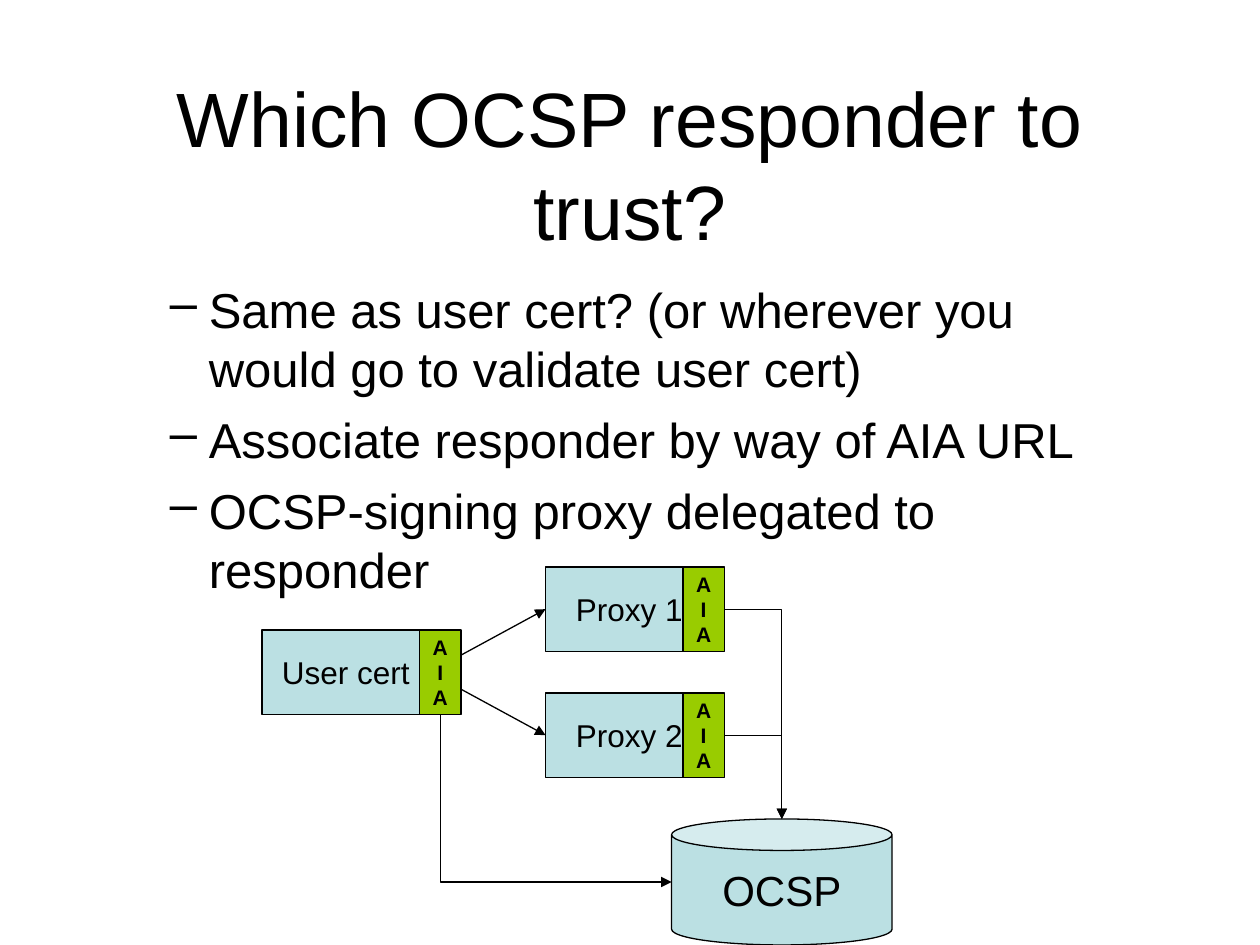
from copy import deepcopy

from lxml.etree import SubElement
from pptx import Presentation
from pptx.dml.color import RGBColor
from pptx.enum.shapes import MSO_CONNECTOR as Connector, MSO_SHAPE as Shape
from pptx.enum.text import MSO_ANCHOR as Anchor, PP_ALIGN as Align
from pptx.oxml.ns import qn
from pptx.util import Inches, Pt

BLACK = RGBColor(0x00, 0x00, 0x00)
PALE_BLUE = RGBColor(0xBB, 0xE0, 0xE3)
GREEN = RGBColor(0x99, 0xCC, 0x00)

BOX_HEIGHT = 0.67
BOX_WIDTH = 1.33
TAG_WIDTH = 0.33


def write_text(paragraph, text, size=18, bold=None, align=Align.CENTER):
    """Fill a paragraph with text in one format; a vertical tab breaks the line."""
    paragraph.text = text
    paragraph.alignment = align
    for run in paragraph.runs:
        font = run.font
        font.name, font.size, font.bold = "Arial", Pt(size), bold
        font.color.rgb = BLACK
    for line_break in paragraph._p.findall(qn("a:br")):
        line_break.append(deepcopy(paragraph.runs[0].font._element))


def add_bullet(paragraph, left, hanging):
    """Give a paragraph a dash bullet with a hanging indent."""
    properties = paragraph._p.get_or_add_pPr()
    properties.set("marL", str(Inches(left)))
    properties.set("indent", str(-Inches(hanging)))
    SubElement(properties, qn("a:buChar"), char="–")


def add_title(slide, left, top, width, height, text):
    """Place the slide title."""
    frame = slide.shapes.add_textbox(*map(Inches, (left, top, width, height))).text_frame
    frame.word_wrap = True
    frame.vertical_anchor = Anchor.MIDDLE
    write_text(frame.paragraphs[0], text, size=44)


def add_bullets(slide, left, top, width, height, items):
    """Place the list of dashed points."""
    frame = slide.shapes.add_textbox(*map(Inches, (left, top, width, height))).text_frame
    frame.word_wrap = True
    for index, item in enumerate(items):
        paragraph = frame.add_paragraph() if index else frame.paragraphs[0]
        if index:
            paragraph.space_before = Pt(7)
        paragraph.level = 1
        add_bullet(paragraph, 0.81, 0.31)
        write_text(paragraph, item, size=28, align=Align.LEFT)


def add_node(slide, kind, left, top, width, height, text, fill=PALE_BLUE, **text_format):
    """Place an outlined, filled shape with a centred label."""
    shape = slide.shapes.add_shape(kind, *map(Inches, (left, top, width, height)))
    shape.shadow.inherit = False
    shape.fill.solid()
    shape.fill.fore_color.rgb = fill
    shape.line.color.rgb = BLACK
    shape.line.width = Pt(0.75)
    frame = shape.text_frame
    frame.word_wrap = False
    frame.vertical_anchor = Anchor.MIDDLE
    write_text(frame.paragraphs[0], text, **text_format)
    return shape


def add_tag(slide, left, top):
    """Place a green AIA tag."""
    add_node(slide, Shape.RECTANGLE, left, top, TAG_WIDTH, BOX_HEIGHT,
             "A\vI\vA", fill=GREEN, size=12, bold=True)


def add_arrow(slide, kind, start, end):
    """Draw a thin connector with an arrowhead at its end."""
    connector = slide.shapes.add_connector(kind, *map(Inches, (*start, *end)))
    connector.line.color.rgb = BLACK
    connector.line.width = Pt(0.75)
    SubElement(connector.line._get_or_add_ln(), qn("a:tailEnd"), type="triangle")
    SubElement(connector._element.spPr, qn("a:effectLst"))
    return connector


def add_bent_arrow(slide, start, end, down_first=False):
    """Draw an arrow with one corner, running across first or down first."""
    if down_first:
        middle_x, middle_y = (start[0] + end[0]) / 2, (start[1] + end[1]) / 2
        half_width, half_height = (end[0] - start[0]) / 2, (end[1] - start[1]) / 2
        start = middle_x + half_height, middle_y - half_width
        end = middle_x - half_height, middle_y + half_width
    properties = add_arrow(slide, Connector.ELBOW, start, end)._element.spPr
    properties.find(qn("a:prstGeom")).set("prst", "bentConnector2")
    if down_first:
        properties.find(qn("a:xfrm")).set("rot", str(270 * 60000))


def add_diagram(slide, left, top):
    """Place the certificate, its proxies and the responder they point to."""
    user_top = top + 0.5
    proxy_left = left + 2.25
    proxy_tag_left = proxy_left + 1.09
    user_tag_left = left + 1.25
    responder_left, responder_top = left + 3.25, top + 2
    responder_width, responder_height = 1.75, 1
    proxy_tops = [top, top + 1]

    user = add_node(slide, Shape.RECTANGLE, left, user_top, BOX_WIDTH, BOX_HEIGHT, "User cert")
    proxies = [
        add_node(slide, Shape.RECTANGLE, proxy_left, proxy_top, BOX_WIDTH, BOX_HEIGHT,
                 f"Proxy {number}")
        for number, proxy_top in enumerate(proxy_tops, 1)
    ]
    add_node(slide, Shape.CAN, responder_left, responder_top,
             responder_width, responder_height, "OCSP", size=24)

    responder_entry = responder_left + responder_width / 2, responder_top
    for proxy_top in proxy_tops:
        exit_point = proxy_tag_left + TAG_WIDTH, proxy_top + BOX_HEIGHT / 2
        add_bent_arrow(slide, exit_point, responder_entry)
    for proxy_top in proxy_tops:
        add_tag(slide, proxy_tag_left, proxy_top)

    user_exit = left + BOX_WIDTH, user_top + BOX_HEIGHT / 2
    for proxy, proxy_top in zip(proxies, proxy_tops):
        arrow = add_arrow(slide, Connector.STRAIGHT, user_exit,
                          (proxy_left, proxy_top + BOX_HEIGHT / 2))
        arrow.begin_connect(user, 3)
        arrow.end_connect(proxy, 1)
    add_tag(slide, user_tag_left, user_top)
    add_bent_arrow(slide, (user_tag_left + TAG_WIDTH / 2, user_top + BOX_HEIGHT),
                   (responder_left, responder_top + responder_height / 2), down_first=True)


def main():
    """Build and save the presentation."""
    presentation = Presentation()
    presentation.slide_width, presentation.slide_height = Inches(10), Inches(7.5)
    slide = presentation.slides.add_slide(presentation.slide_layouts[6])
    add_title(slide, 0.75, 0.67, 8.5, 1.25, "Which OCSP responder to trust?")
    add_bullets(slide, 0.75, 2.17, 8.5, 4.5, [
        "Same as user cert? (or wherever you would go to validate user cert)",
        "Associate responder by way of AIA URL",
        "OCSP-signing proxy delegated to responder",
    ])
    add_diagram(slide, 2.08, 4.5)
    presentation.save("out.pptx")


if __name__ == "__main__":
    main()
